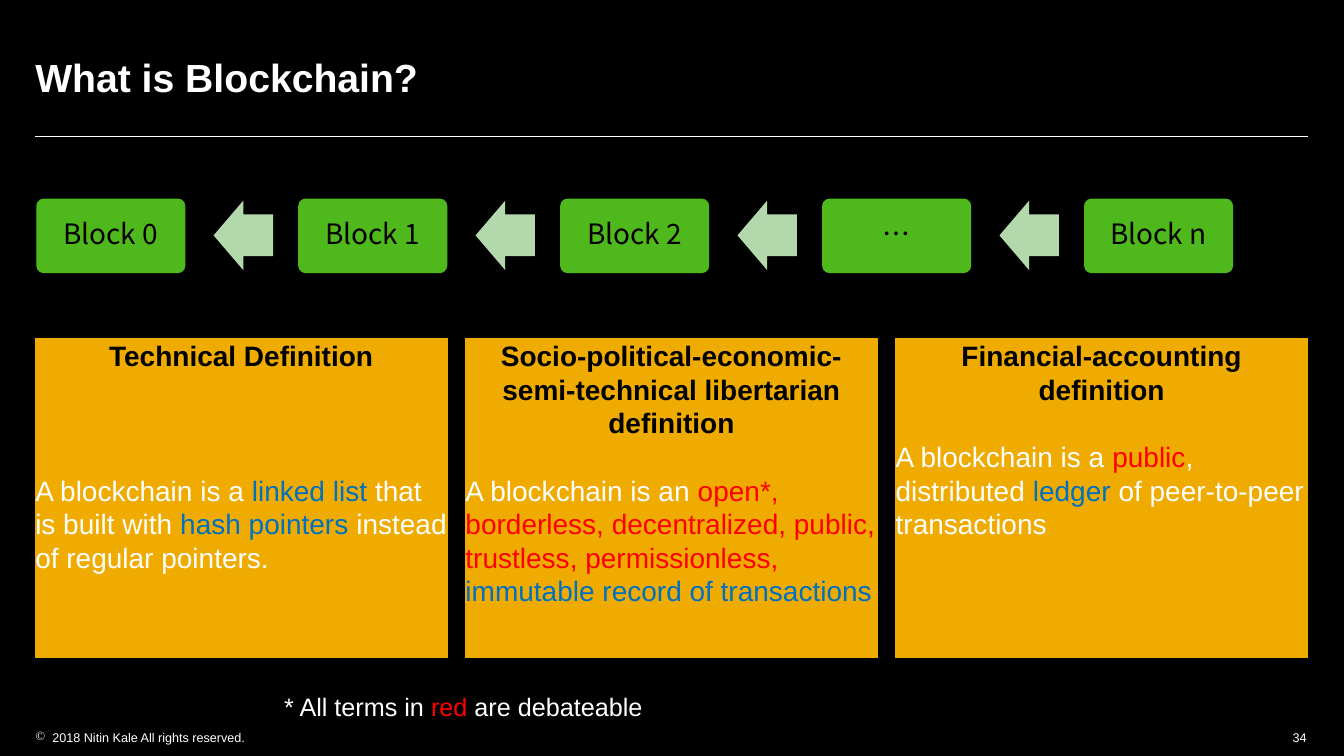
from dataclasses import dataclass

from lxml import etree
from pptx import Presentation
from pptx import util as u
from pptx.dml.color import RGBColor
from pptx.enum import shapes, text
from pptx.oxml import ns

# Content: each run is (words, colour name)
TITLE = "What is Blockchain?"
BLOCKS = ["Block 0", "Block 1", "Block 2", "…", "Block n"]
# Heading, space between heading and body in points, body runs
DEFINITIONS = [
    ("Technical Definition", 72, [
        ("A blockchain is a ", "white"), ("linked list ", "blue"),
        ("that is built with ", "white"), ("hash pointers ", "blue"),
        ("instead of regular pointers.", "white")]),
    ("Socio-political-economic-semi-technical libertarian definition", 24, [
        ("A blockchain is an ", "white"),
        ("open*, borderless, decentralized, public, trustless, permissionless, ", "red"),
        ("immutable record of transactions", "blue")]),
    ("Financial-accounting definition", 24, [
        ("A blockchain is a ", "white"), ("public", "red"),
        (", distributed ", "white"), ("ledger", "blue"),
        (" of peer-to-peer transactions", "white")]),
]
FOOTNOTE = [("* All terms in ", "white"), ("red", "red"), (" are debateable", "white")]
COPYRIGHT = "2018 Nitin Kale All rights reserved."
PAGE = "34"


@dataclass(frozen=True)
class Theme:
    black: str = "000000"
    white: str = "FFFFFF"
    red: str = "FF0000"
    blue: str = "0070C0"
    amber: str = "F0AB00"
    green: str = "4FB81C"
    mint: str = "B3D8AC"
    font: str = "Arial"
    block_font: str = "Noto Sans CJK SC"
    title_size: int = 28
    body_size: int = 20
    note_size: int = 18
    footer_size: int = 9
    line_height: int = 24


theme = Theme()
MARGIN, CONTENT_WIDTH = 0.35, 12.63
BLOCK_PITCH, BLOCK_WIDTH, ARROW_OFFSET = 2.6, 1.48, 1.76
CARD_WIDTH = 4.09
CARD_PITCH = (CONTENT_WIDTH - CARD_WIDTH) / (len(DEFINITIONS) - 1)


def color(name):
    return RGBColor.from_string(getattr(theme, name))


def place(shape, left, top, width, height):
    shape.left, shape.top = u.Inches(left), u.Inches(top)
    shape.width, shape.height = u.Inches(width), u.Inches(height)


def prepare_frame(shape, anchor=text.MSO_ANCHOR.TOP, inset=0.0, wrap=True):
    frame = shape.text_frame
    frame.auto_size = text.MSO_AUTO_SIZE.NONE
    frame.word_wrap = wrap
    frame.vertical_anchor = anchor
    frame.margin_left = frame.margin_right = u.Inches(inset)
    frame.margin_top = frame.margin_bottom = u.Inches(inset)
    return frame


def add_runs(paragraph, runs, size, bold=False, font=theme.font, align=text.PP_ALIGN.LEFT):
    paragraph.alignment = align
    for words, color_name in runs:
        run = paragraph.add_run()
        run.text = words
        run.font.name, run.font.size, run.font.bold = font, u.Pt(size), bold
        run.font.color.rgb = color(color_name)
        if font == theme.block_font:
            east_asian = etree.SubElement(run.font._element, ns.qn("a:ea"))
            east_asian.set("typeface", font)


def set_bullet(paragraph, character=None, indent=0.0):
    properties = paragraph._p.get_or_add_pPr()
    properties.set("marL", str(u.Inches(indent)))
    properties.set("indent", str(-u.Inches(indent)))
    if character:
        bullet_color = etree.SubElement(properties, ns.qn("a:buClr"))
        etree.SubElement(bullet_color, ns.qn("a:srgbClr")).set("val", theme.white)
        etree.SubElement(properties, ns.qn("a:buChar")).set("char", character)
    else:
        etree.SubElement(properties, ns.qn("a:buNone"))


def add_label(slide, box, runs, size, **options):
    label = slide.shapes.add_textbox(*map(u.Inches, box))
    wrap = options.pop("wrap", True)
    paragraph = prepare_frame(label, wrap=wrap).paragraphs[0]
    add_runs(paragraph, runs, size, **options)
    return paragraph


def add_preset(slide, preset, box, fill, adjustments):
    shape = slide.shapes.add_shape(preset, *map(u.Inches, box))
    shape.shadow.inherit = False
    shape.fill.solid()
    shape.fill.fore_color.rgb = color(fill)
    shape.line.fill.background()
    for index, value in enumerate(adjustments):
        shape.adjustments[index] = value
    return shape


def add_title(slide):
    title = slide.shapes.title
    place(title, MARGIN, 0.35, CONTENT_WIDTH, 0.83)
    frame = prepare_frame(title, text.MSO_ANCHOR.MIDDLE)
    add_runs(frame.paragraphs[0], [(TITLE, "white")], theme.title_size, bold=True)
    rule = slide.shapes.add_connector(
        shapes.MSO_CONNECTOR.STRAIGHT, u.Inches(MARGIN), u.Inches(1.35),
        u.Inches(MARGIN + CONTENT_WIDTH), u.Inches(1.35))
    rule.line.color.rgb = color("white")
    rule.line.width = u.Pt(0.5)
    etree.SubElement(rule._element.spPr, ns.qn("a:effectLst"))


def add_chain(slide):
    for index, name in enumerate(BLOCKS):
        left = MARGIN + 0.01 + index * BLOCK_PITCH
        block = add_preset(slide, shapes.MSO_SHAPE.ROUNDED_RECTANGLE,
                           (left, 1.97, BLOCK_WIDTH, 0.74), "green", [0.1])
        paragraph = prepare_frame(block, text.MSO_ANCHOR.MIDDLE, 0.08).paragraphs[0]
        paragraph.line_spacing = 0.9
        add_runs(paragraph, [(name, "black")], theme.body_size,
                 font=theme.block_font, align=text.PP_ALIGN.CENTER)
        if index < len(BLOCKS) - 1:
            add_preset(slide, shapes.MSO_SHAPE.LEFT_ARROW,
                       (left + ARROW_OFFSET, 1.99, 0.59, 0.69), "mint", [0.6, 0.5])


def add_definitions(slide):
    bodies = [item for item in slide.placeholders if item.placeholder_format.idx > 0]
    for spare in bodies[len(DEFINITIONS):]:
        spare._element.getparent().remove(spare._element)
    for index, (card, (heading, gap, runs)) in enumerate(zip(bodies, DEFINITIONS)):
        place(card, MARGIN + index * CARD_PITCH, 3.36, CARD_WIDTH, 3.16)
        card.fill.solid()
        card.fill.fore_color.rgb = card.line.color.rgb = color("amber")
        card.line.width = u.Pt(0.79)
        frame = prepare_frame(card)
        head, body = frame.paragraphs[0], frame.add_paragraph()
        for paragraph, before in ((head, 0), (body, gap)):
            paragraph.space_before = u.Pt(before)
            paragraph.line_spacing = u.Pt(theme.line_height)
            set_bullet(paragraph)
        add_runs(head, [(heading, "black")], theme.body_size, bold=True,
                 align=text.PP_ALIGN.CENTER)
        add_runs(body, runs, theme.body_size)


def add_footer(slide):
    add_label(slide, (2.82, 6.86, 5.05, 0.3), FOOTNOTE, theme.note_size)
    notice = add_label(slide, (MARGIN, 7.24, 2.11, 0.15), [(COPYRIGHT, "white")],
                       theme.footer_size, wrap=False)
    set_bullet(notice, "©", 0.17)
    add_label(slide, (12.67, 7.24, 0.3, 0.15), [(PAGE, "white")],
              theme.footer_size, align=text.PP_ALIGN.RIGHT)


def main():
    presentation = Presentation()
    presentation.slide_width, presentation.slide_height = u.Inches(13.34), u.Inches(7.5)
    # The Comparison layout offers a title and several bodies
    slide = presentation.slides.add_slide(presentation.slide_layouts[4])
    slide.background.fill.solid()
    slide.background.fill.fore_color.rgb = color("black")
    add_title(slide)
    add_definitions(slide)
    add_chain(slide)
    add_footer(slide)
    presentation.save("out.pptx")


if __name__ == "__main__":
    main()
